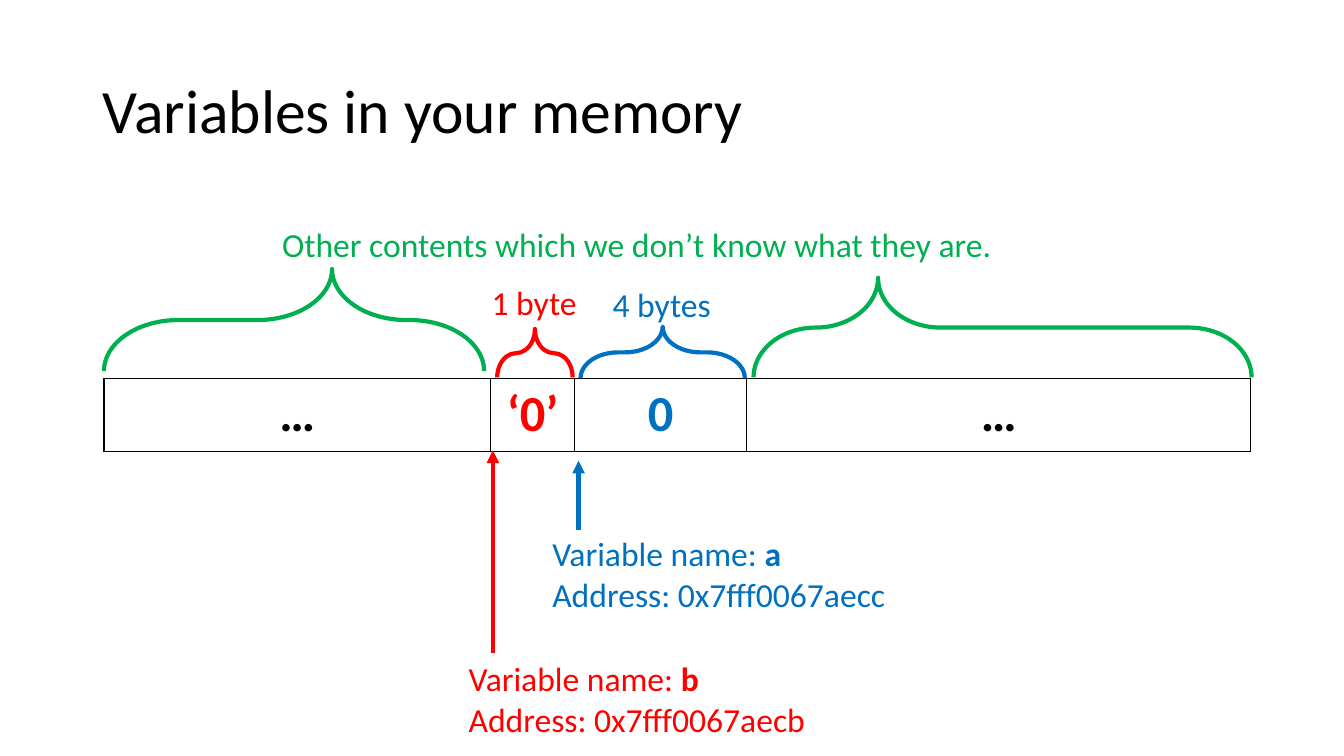
import pptx
import pptx.util
import pptx.dml.color
import pptx.enum.shapes
import pptx.enum.text
import pptx.oxml
import pptx.oxml.ns
from dataclasses import dataclass
from lxml import etree

Cm, Pt = pptx.util.Cm, pptx.util.Pt


@dataclass(frozen=True)
class Theme:
    font: str = "Calibri"
    black: str = "000000"
    white: str = "FFFFFF"
    red: str = "FF0000"
    blue: str = "0070C0"
    green: str = "00B050"
    title: int = 44
    cell: int = 36
    label: int = 24
    stroke: int = 3
    border: int = 1


theme = Theme()

# Content: lengths in centimetres
TITLE = ("Variables in your memory", 2.34, 1.02, 29.21, 3.68)
MEMORY_LEFT, MEMORY_TOP, MEMORY_HEIGHT = 2.62, 9.53, 1.85
MEMORY = [  # text, colour, width
    ("…", theme.black, 9.75),
    ("‘0’", theme.red, 2.11),
    ("0", theme.blue, 4.34),
    ("…", theme.black, 12.7),
]
BRACES = [  # colour, left, top, width, height, tip from the left
    (theme.blue, 14.63, 8.23, 4.14, 1.3, 0.5),
    (theme.green, 2.62, 6.78, 9.58, 2.57, 0.6),
    (theme.green, 18.99, 7.0, 12.55, 2.51, 0.25),
    (theme.red, 12.53, 8.29, 1.9, 1.22, 0.5),
]
ARROWS = [  # colour, x, bottom, top
    (theme.blue, 14.58, 13.36, 11.61),
    (theme.red, 12.42, 16.46, 11.35),
]
LABELS = [  # lines of (text, bold) spans, colour, left, top, width, height
    ([[("Variable name: ", False), ("a", True)], [("Address: 0x7fff0067aecc", False)]],
     theme.blue, 13.67, 13.31, 8.99, 2.31),
    ([[("Variable name: ", False), ("b", True)], [("Address: 0x7fff0067aecb", False)]],
     theme.red, 11.56, 16.46, 9.17, 2.31),
    ([[("4 bytes", False)]], theme.blue, 15.19, 7.04, 3.02, 1.27),
    ([[("1 byte", False)]], theme.red, 12.14, 6.99, 2.67, 1.27),
    ([[("Other contents which we don’t know what they are.", False)]],
     theme.green, 6.86, 5.51, 18.54, 1.27),
]


def rgb(color):
    return pptx.dml.color.RGBColor.from_string(color)


def style(font, size, color, bold=False):
    font.name, font.size, font.bold = theme.font, Pt(size), bold
    font.color.rgb = rgb(color)


def add_title(page):
    text, *place = TITLE
    box = page.shapes.add_textbox(*map(Cm, place))
    frame = box.text_frame
    frame.word_wrap = True
    frame.vertical_anchor = pptx.enum.text.MSO_ANCHOR.MIDDLE
    frame.text = text
    para = frame.paragraphs[0]
    para.line_spacing = 0.9
    style(para.runs[0].font, theme.title, theme.black)


def add_borders(cell):
    properties = cell._tc.get_or_add_tcPr()
    for side in ("lnL", "lnR", "lnT", "lnB"):
        properties.append(pptx.oxml.parse_xml(
            f'<a:{side} {pptx.oxml.ns.nsdecls("a")} w="{Pt(theme.border)}"><a:solidFill>'
            f'<a:srgbClr val="{theme.black}"/></a:solidFill></a:{side}>'))


def add_memory(page):
    total = sum(width for _, _, width in MEMORY)
    table = page.shapes.add_table(1, len(MEMORY), Cm(MEMORY_LEFT), Cm(MEMORY_TOP),
                                  Cm(total), Cm(MEMORY_HEIGHT)).table
    table.first_row = table.horz_banding = False
    for column, (text, color, width) in enumerate(MEMORY):
        table.columns[column].width = Cm(width)
        cell = table.cell(0, column)
        add_borders(cell)
        cell.fill.solid()
        cell.fill.fore_color.rgb = rgb(theme.white)
        cell.text_frame.text = text
        para = cell.text_frame.paragraphs[0]
        para.alignment = pptx.enum.text.PP_ALIGN.CENTER
        style(para.runs[0].font, theme.cell, color, True)


def add_brace(page, color, left, top, width, height, tip):
    # A left brace turned a quarter points up: its sides swap about the centre
    shift = (width - height) / 2
    brace = page.shapes.add_shape(
        pptx.enum.shapes.MSO_SHAPE.LEFT_BRACE,
        Cm(left + shift), Cm(top - shift), Cm(height), Cm(width))
    brace.rotation = 90
    brace.adjustments[0] = 0.73
    brace.adjustments[1] = 1 - tip
    brace.shadow.inherit = False
    brace.fill.background()
    brace.line.color.rgb = rgb(color)
    brace.line.width = Pt(theme.stroke)


def add_arrow(page, color, x, bottom, top):
    arrow = page.shapes.add_connector(pptx.enum.shapes.MSO_CONNECTOR.STRAIGHT,
                                      Cm(x), Cm(bottom), Cm(x), Cm(top))
    arrow.line.color.rgb = rgb(color)
    arrow.line.width = Pt(theme.stroke)
    outline = arrow.line._get_or_add_ln()
    etree.SubElement(outline, pptx.oxml.ns.qn("a:tailEnd"), type="triangle")
    etree.SubElement(arrow._element.spPr, pptx.oxml.ns.qn("a:effectLst"))


def add_label(page, lines, color, *place):
    frame = page.shapes.add_textbox(*map(Cm, place)).text_frame
    frame.word_wrap = False
    frame.auto_size = pptx.enum.text.MSO_AUTO_SIZE.SHAPE_TO_FIT_TEXT
    for number, line in enumerate(lines):
        para = frame.add_paragraph() if number else frame.paragraphs[0]
        for text, bold in line:
            span = para.add_run()
            span.text = text
            style(span.font, theme.label, color, bold)


def main():
    deck = pptx.Presentation()
    deck.slide_width, deck.slide_height = Cm(33.87), Cm(19.05)
    page = deck.slides.add_slide(deck.slide_layouts[6])
    add_title(page)
    add_memory(page)
    for brace in BRACES:
        add_brace(page, *brace)
    for arrow in ARROWS:
        add_arrow(page, *arrow)
    for label in LABELS:
        add_label(page, *label)
    deck.save("out.pptx")


if __name__ == "__main__":
    main()
